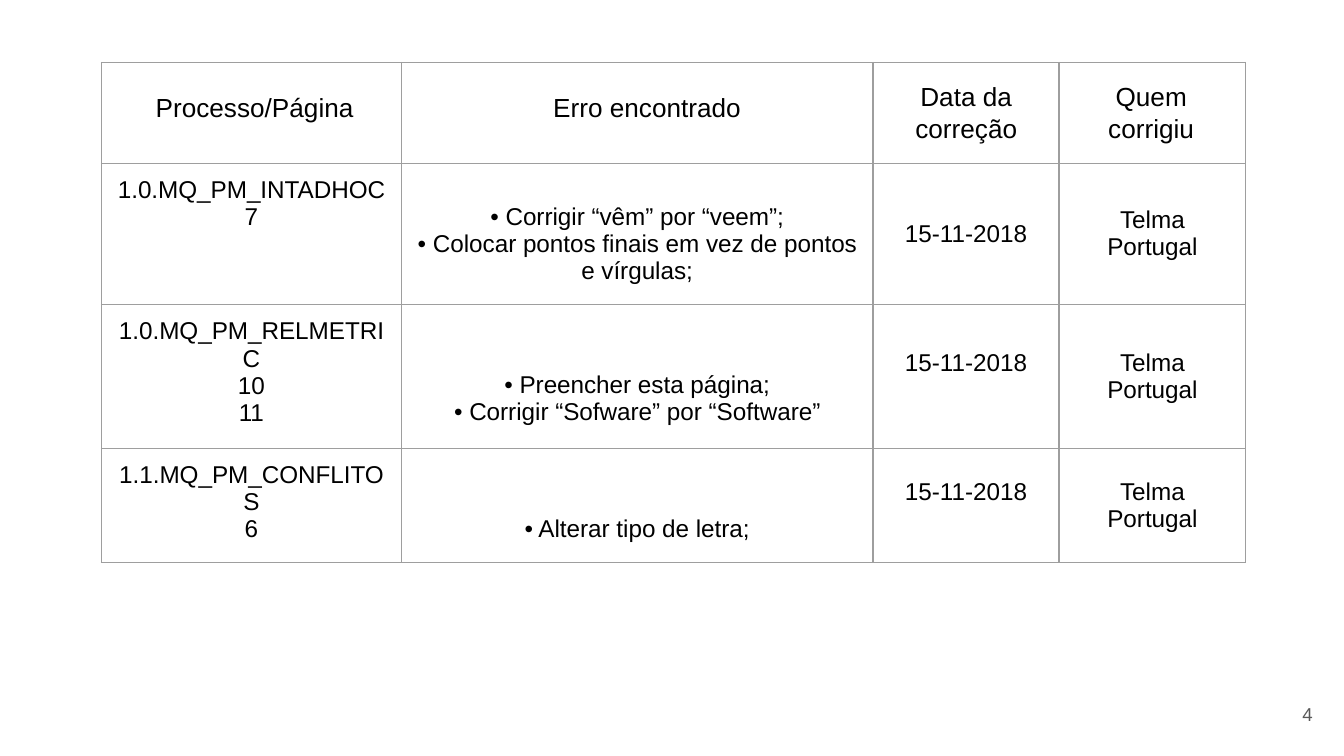
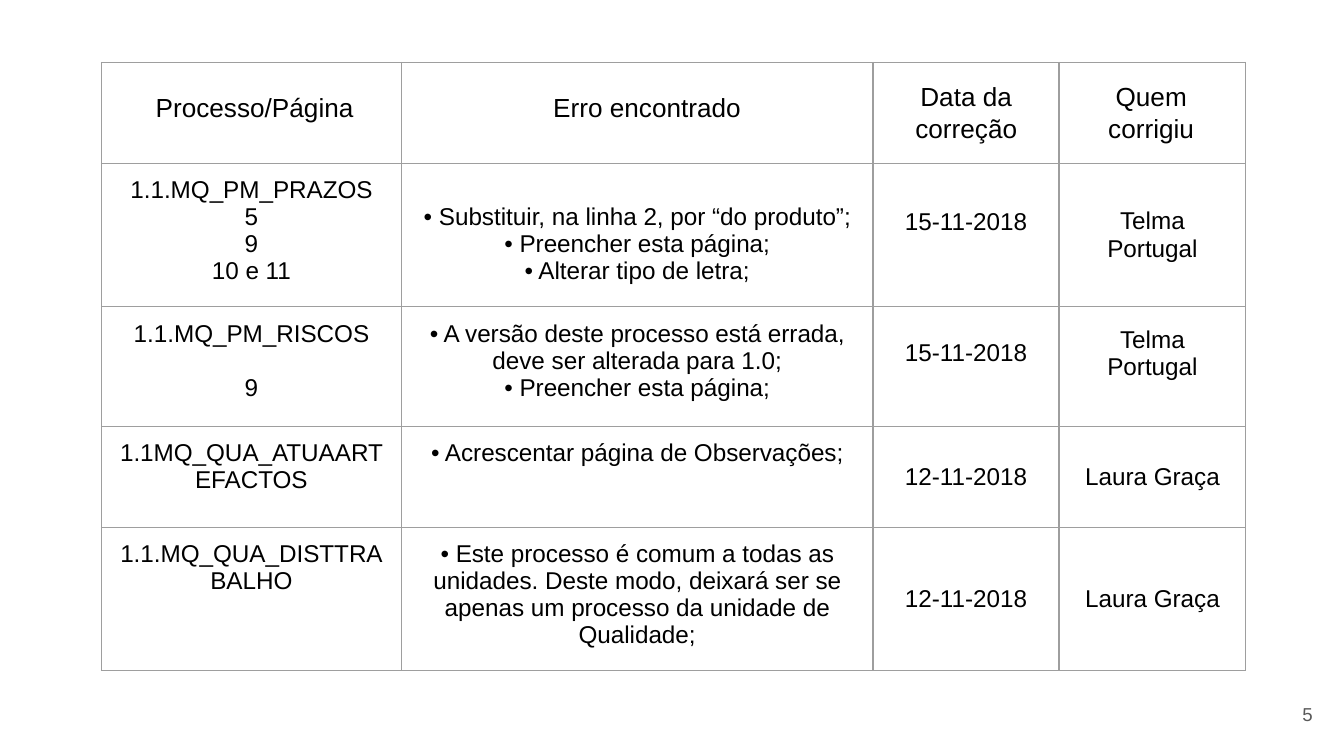
import pptx
import pptx.dml.color
import pptx.enum.text
import pptx.oxml
import pptx.oxml.ns
import pptx.util

BLACK = pptx.dml.color.RGBColor(0x00, 0x00, 0x00)
GRAY = pptx.dml.color.RGBColor(0x59, 0x59, 0x59)
BORDER = pptx.dml.color.RGBColor(0x9E, 0x9E, 0x9E)

ALIGN = pptx.enum.text.PP_ALIGN
ANCHOR = pptx.enum.text.MSO_ANCHOR

PX = 4572
INSET = 20
LINE = 40
LINE_POINTS = 14.6
HEADER_HEIGHT = 150
COLUMNS = [446, 702, 277, 278]
HEADERS = [
    ("Processo/Página", 191, 116, 376),
    ("Erro encontrado", 714, 116, 498),
    ("Data da correção", 1312, 100, 252),
    ("Quem corrigiu", 1585, 100, 256),
]

PAGES = {
    4: [
        (150, "1.0.MQ_PM_INTADHOC\n7",
         "\n• Corrigir “vêm” por “veem”;\n• Colocar pontos finais em vez de pontos e vírgulas;",
         "15-11-2018", "Telma Portugal"),
        (178, "1.0.MQ_PM_RELMETRIC\n10\n11",
         "\n\n• Preencher esta página;\n• Corrigir “Sofware” por “Software”",
         "15-11-2018\n", "Telma Portugal"),
        (150, "1.1.MQ_PM_CONFLITOS\n6",
         "\n\n• Alterar tipo de letra;",
         "15-11-2018\n", "Telma Portugal"),
    ],
    5: [
        (150, "1.1.MQ_PM_PRAZOS\n5\n9\n10 e 11",
         "\n• Substituir, na linha 2, por “do produto”;\n• Preencher esta página;\n• Alterar tipo de letra;",
         "15-11-2018\n", "Telma Portugal"),
        (178, "1.1.MQ_PM_RISCOS\n\n9",
         "• A versão deste processo está errada, deve ser alterada para 1.0;\n• Preencher esta página;",
         "15-11-2018\n", "Telma Portugal\n"),
        (150, "1.1MQ_QUA_ATUAARTEFACTOS",
         "• Acrescentar página de Observações;",
         "12-11-2018", "Laura Graça"),
        (150, "1.1.MQ_QUA_DISTTRABALHO",
         "• Este processo é comum a todas as unidades. Deste modo, deixará ser se apenas um processo da unidade de Qualidade;",
         "12-11-2018", "Laura Graça"),
    ],
}


class Report:
    font = "Arial"
    header_size = 14
    body_size = 13
    number_size = 10

    def __init__(self, width, height):
        self.deck = pptx.Presentation()
        self.deck.slide_width = width * PX
        self.deck.slide_height = height * PX
        self.page = None

    def add_page(self):
        self.page = self.deck.slides.add_slide(self.deck.slide_layouts[6])

    def style(self, para, size, color, align):
        para.alignment = align
        para.font.name = self.font
        para.font.size = pptx.util.Pt(size)
        para.font.color.rgb = color

    def text(self, text, left, top, width, height, size, color=BLACK,
             align=ALIGN.CENTER, anchor=ANCHOR.TOP):
        box = self.page.shapes.add_textbox(left * PX, top * PX, width * PX, height * PX)
        frame = box.text_frame
        frame.word_wrap = True
        frame.vertical_anchor = anchor
        frame.margin_left = frame.margin_right = INSET * PX
        frame.margin_top = frame.margin_bottom = INSET * PX
        frame.text = text
        self.style(frame.paragraphs[0], size, color, align)

    def headers(self):
        for text, left, top, width in HEADERS:
            self.text(text, left, top, width, 132, self.header_size)

    def page_number(self, number):
        self.text(str(number), 1853, 1020, 120, 86, self.number_size, GRAY,
                  ALIGN.RIGHT, ANCHOR.MIDDLE)

    def frame_cell(self, cell):
        properties = cell._tc.get_or_add_tcPr()
        for side in ("lnL", "lnR", "lnT", "lnB"):
            properties.append(pptx.oxml.parse_xml(
                f'<a:{side} {pptx.oxml.ns.nsdecls("a")} w="9525"><a:solidFill>'
                f'<a:srgbClr val="{BORDER}"/></a:solidFill></a:{side}>'))
        cell.fill.background()

    def fill_cell(self, cell, text, anchor):
        leading = len(text) - len(text.lstrip("\n"))
        trailing = len(text) - len(text.rstrip("\n"))
        cell.vertical_anchor = anchor
        cell.margin_left = cell.margin_right = INSET * PX
        cell.margin_top = (INSET + leading * LINE) * PX
        cell.margin_bottom = (INSET + trailing * LINE) * PX
        frame = cell.text_frame
        para, gap = frame.paragraphs[0], 0
        for index, line in enumerate(text.strip("\n").split("\n")):
            if not line:
                gap += 1
                continue
            if index:
                para = frame.add_paragraph()
            para.text = line
            self.style(para, self.body_size, BLACK, ALIGN.CENTER)
            if gap:
                para.space_before = pptx.util.Pt(gap * LINE_POINTS)
                gap = 0

    def table(self, rows, left, top):
        heights = [HEADER_HEIGHT] + [row[0] for row in rows]
        table = self.page.shapes.add_table(
            len(heights), len(COLUMNS), left * PX, top * PX,
            sum(COLUMNS) * PX, sum(heights) * PX).table
        table.first_row = table.horz_banding = False
        for column, width in zip(table.columns, COLUMNS):
            column.width = width * PX
        for row, height in zip(table.rows, heights):
            row.height = height * PX
        for cell in table.iter_cells():
            self.frame_cell(cell)
        for row_index, (_, *texts) in enumerate(rows, 1):
            for column_index, text in enumerate(texts):
                anchor = ANCHOR.TOP if column_index < 2 else ANCHOR.MIDDLE
                self.fill_cell(table.cell(row_index, column_index), text, anchor)


def main():
    report = Report(2000, 1125)
    for number, rows in PAGES.items():
        report.add_page()
        report.headers()
        report.page_number(number)
        report.table(rows, 151, 93)
    report.deck.save("out.pptx")


if __name__ == "__main__":
    main()
